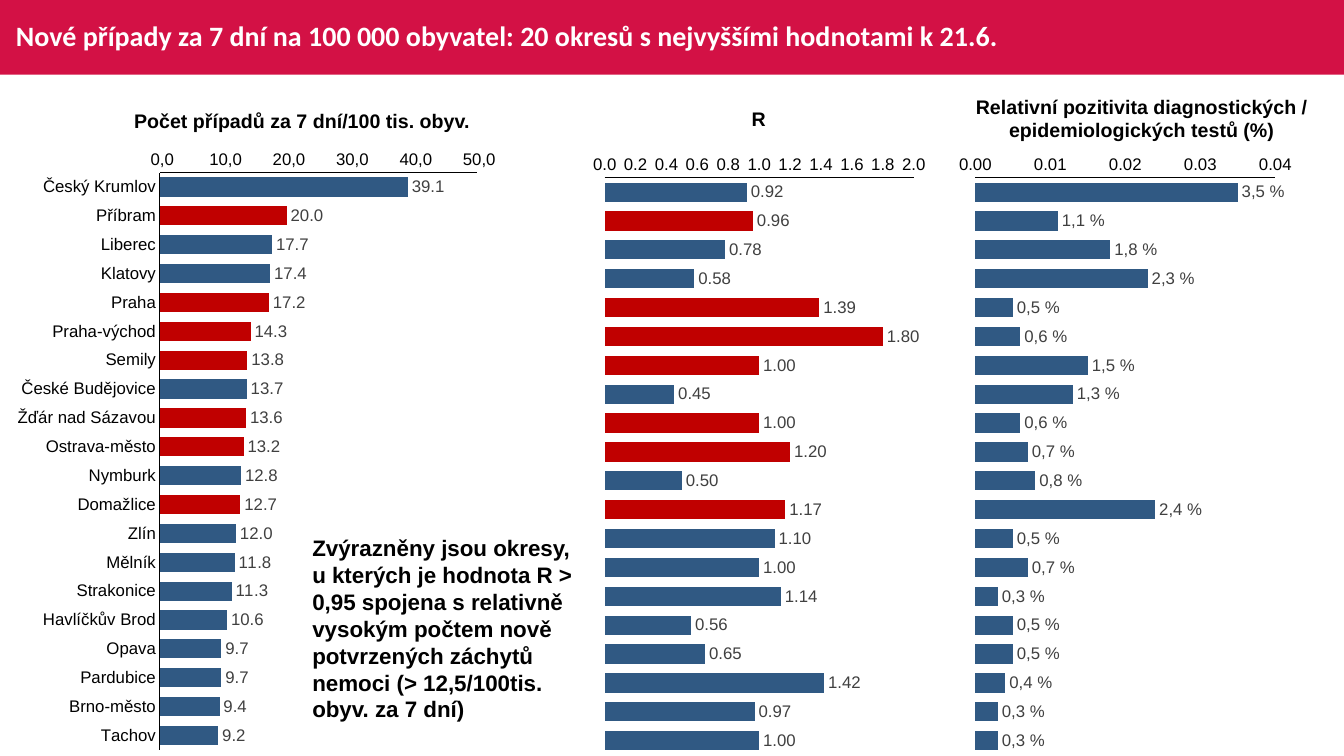
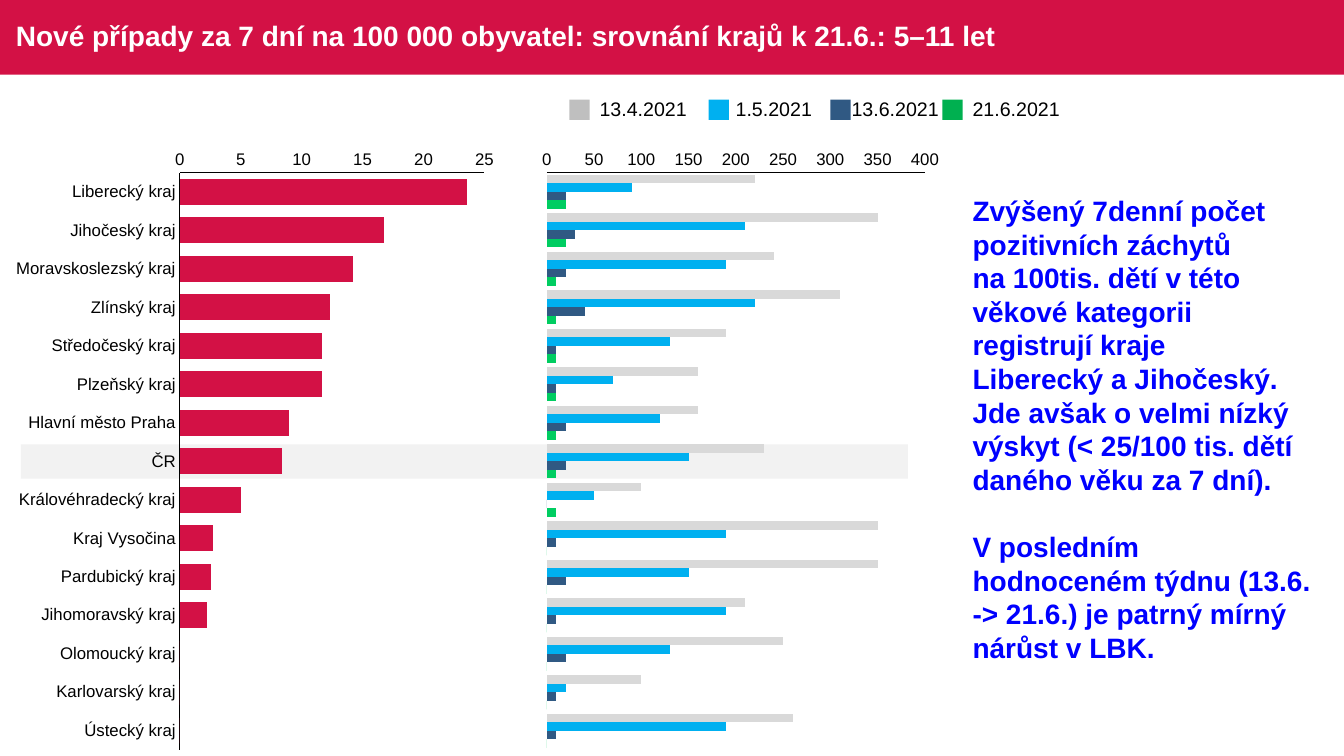
import pptx
import pptx.chart.data
import pptx.dml.color
import pptx.enum.chart
import pptx.enum.shapes
import pptx.enum.text
import pptx.oxml
import pptx.oxml.ns
import pptx.util

Cm = pptx.util.Cm
Pt = pptx.util.Pt
CHART = pptx.enum.chart
ALIGN = pptx.enum.text.PP_ALIGN
ANCHOR = pptx.enum.text.MSO_ANCHOR

HUES = {
    "band": "D31145", "white": "FFFFFF", "black": "000000", "blue": "305983",
    "red": "C00000", "label": "404040", "stripe": "F2F2F2", "note": "0000FF",
    "pale": "D9D9D9", "sky": "00B0F0", "green": "00CD61",
    "key gray": "BFBFBF", "key green": "00B050",
}
FONT = "Arial"
WIDE, HIGH = 33.87, 19.05
BAND = 1.88
PLOT_TOP, PLOT_HIGH = 0.87, 14.55

TOWNS = [
    "Český Krumlov", "Příbram", "Liberec", "Klatovy", "Praha", "Praha-východ",
    "Semily", "České Budějovice", "Žďár nad Sázavou", "Ostrava-město",
    "Nymburk", "Domažlice", "Zlín", "Mělník", "Strakonice", "Havlíčkův Brod",
    "Opava", "Pardubice", "Brno-město", "Tachov",
]
MARKED = {1, 4, 5, 6, 8, 9, 11}
CASES = [39.1, 20, 17.7, 17.4, 17.2, 14.3, 13.8, 13.7, 13.6, 13.2,
         12.8, 12.7, 12, 11.8, 11.3, 10.6, 9.7, 9.7, 9.4, 9.2]
R_RATES = [0.92, 0.96, 0.78, 0.58, 1.39, 1.8, 1, 0.45, 1, 1.2,
           0.5, 1.17, 1.1, 1, 1.14, 0.56, 0.65, 1.42, 0.97, 1]
TESTS = [0.035, 0.011, 0.018, 0.023, 0.005, 0.006, 0.015, 0.013, 0.006, 0.007,
         0.008, 0.024, 0.005, 0.007, 0.003, 0.005, 0.005, 0.004, 0.003, 0.003]

LANDS = [
    "Liberecký kraj", "Jihočeský kraj", "Moravskoslezský kraj", "Zlínský kraj",
    "Středočeský kraj", "Plzeňský kraj", "Hlavní město Praha", "ČR",
    "Královéhradecký kraj", "Kraj Vysočina", "Pardubický kraj",
    "Jihomoravský kraj", "Olomoucký kraj", "Karlovarský kraj", "Ústecký kraj",
]
LAND_CASES = [23.6, 16.8, 14.2, 12.3, 11.7, 11.7, 9, 8.4, 5, 2.7, 2.6, 2.2, 0, 0, 0]
TREND = [
    ("pale", [220, 350, 240, 310, 190, 160, 160, 230, 100, 350, 350, 210, 250, 100, 260]),
    ("sky", [90, 210, 190, 220, 130, 70, 120, 150, 50, 190, 150, 190, 130, 20, 190]),
    ("blue", [20, 30, 20, 40, 10, 10, 20, 20, 0, 10, 20, 10, 20, 10, 10]),
    ("green", [20, 20, 10, 10, 10, 10, 10, 10, 10, 0, 0, 0, 0, 0, 0]),
]
# Swatch left, label left, label width, hue, date
KEYS = [
    (14.35, 14.86, 2.72, "key gray", "13.4.2021"),
    (17.86, 18.29, 2.44, "sky", "1.5.2021"),
    (20.93, 21.21, 2.72, "blue", "13.6.2021"),
    (23.75, 24.26, 2.72, "key green", "21.6.2021"),
]


def tint(hue):
    return pptx.dml.color.RGBColor.from_string(HUES[hue])


def paint(fill, hue):
    fill.solid()
    fill.fore_color.rgb = tint(hue)


def style(font, size, hue="black", bold=False, name=FONT):
    font.size, font.bold, font.name = Pt(size), bold, name
    font.color.rgb = tint(hue)


def block(slide, box, hue):
    shape = slide.shapes.add_shape(
        pptx.enum.shapes.MSO_SHAPE.RECTANGLE, *map(Cm, box))
    shape.shadow.inherit = False
    paint(shape.fill, hue)
    shape.line.fill.background()


def write(slide, box, paras, size, hue="black", bold=True, name=FONT,
          align=ALIGN.LEFT, wrap=True):
    """Add a text box; a newline inside a paragraph becomes a line break."""
    frame = slide.shapes.add_textbox(*map(Cm, box)).text_frame
    frame.word_wrap = wrap
    for i, text in enumerate(paras):
        para = frame.paragraphs[0] if i == 0 else frame.add_paragraph()
        para.alignment = align
        for j, part in enumerate(text.split("\n")):
            if j:
                para.add_line_break()
            run = para.add_run()
            run.text = part
            style(run.font, size, hue, bold, name)
    return frame


def head(slide, text, name=FONT):
    block(slide, (0, 0, WIDE, BAND), "band")
    frame = write(slide, (0.15, 0, 30.5, BAND), [text], 20, "white", name=name)
    frame.vertical_anchor = ANCHOR.MIDDLE
    frame.paragraphs[0].line_spacing = 0.9


def place_plot(chart, box, left, wide):
    """Fix the inner plot area, given in cm from the chart's corner."""
    parts = {"x": left / box[2], "y": PLOT_TOP / box[3],
             "w": wide / box[2], "h": PLOT_HIGH / box[3]}
    modes = "".join(f'<c:{k}Mode val="edge"/>' for k in "xy")
    sizes = "".join(f'<c:{k} val="{v:.4f}"/>' for k, v in parts.items())
    area = chart.plots[0]._element.getparent()
    for old in area.findall(pptx.oxml.ns.qn("c:layout")):
        area.remove(old)
    area.insert(0, pptx.oxml.parse_xml(
        f'<c:layout {pptx.oxml.ns.nsdecls("c")}><c:manualLayout>'
        f'<c:layoutTarget val="inner"/>{modes}{sizes}'
        '</c:manualLayout></c:layout>'))


def dress(axis):
    axis.has_major_gridlines = False
    axis.major_tick_mark = axis.minor_tick_mark = CHART.XL_TICK_MARK.NONE
    style(axis.tick_labels.font, 12)
    axis.format.line.color.rgb = tint("black")
    axis.format.line.width = Pt(0.75)


def bars(slide, box, plot, rows, top, step, cats=None, form="General",
         label=None, marked=()):
    """Draw a bar chart; rows holds (hue, values), plot its left and width."""
    data = pptx.chart.data.CategoryChartData()
    data.categories = cats or [str(i + 1) for i in range(len(rows[0][1]))]
    for i, (_, vals) in enumerate(rows, 1):
        data.add_series(f"Series {i}", vals)
    chart = slide.shapes.add_chart(
        CHART.XL_CHART_TYPE.BAR_CLUSTERED, *map(Cm, box), data).chart
    chart.has_title = chart.has_legend = False
    style(chart.font, 10)
    place_plot(chart, box, *plot)

    dress(chart.category_axis)
    chart.category_axis.reverse_order = True
    chart.category_axis.visible = cats is not None
    scale = chart.value_axis
    dress(scale)
    scale.minimum_scale, scale.maximum_scale, scale.major_unit = 0, top, step
    scale.tick_labels.number_format = form
    scale.tick_labels.number_format_is_linked = False

    group = chart.plots[0]
    group.gap_width, group.overlap = 50, 0
    group.vary_by_categories = False
    for line, (hue, _) in zip(group.series, rows):
        line.invert_if_negative = False
        paint(line.format.fill, hue)
        for i in sorted(marked):
            paint(line.points[i].format.fill, "red")
    if label:
        group.has_data_labels = True
        tags = group.data_labels
        tags.show_value = True
        tags.position = CHART.XL_LABEL_POSITION.OUTSIDE_END
        tags.number_format, tags.number_format_is_linked = label, False
        style(tags.font, 12, "label")


def legend(slide, top):
    for left, start, wide, hue, date in KEYS:
        block(slide, (left, top + 0.2, 0.51, 0.51), hue)
        write(slide, (start, top, wide, 0.86), [date], 14, bold=False, wrap=False)


def towns(slide):
    head(slide, "Nové případy za 7 dní na 100 000 obyvatel: 20 okresů "
         "s nejvyššími hodnotami k 21.6.", "Calibri")
    bars(slide, (0.2, 3.48, 12.55, 15.72), (3.83, 7.99), [("blue", CASES)],
         50, 10, TOWNS, r"[$-10405]#\ ##0.0;\(#\ ##0.0\)", "#,##0.0", MARKED)
    bars(slide, (14.76, 3.61, 8.74, 15.72), (0.48, 7.79), [("blue", R_RATES)],
         2, 0.2, form="#,##0.0", label="#,##0.00", marked=MARKED)
    bars(slide, (24, 3.61, 8.74, 15.72), (0.58, 7.56), [("blue", TESTS)],
         0.04, 0.01, form="#,##0.00", label=r"[$-10405]0.0\ %")
    for box, text, wrap in (
            ((3.12, 2.62, 8.99, 0.86), "Počet případů za 7 dní/100 tis. obyv.", False),
            ((18.69, 2.57, 0.86, 0.86), "R", False),
            ((24, 2.26, 9.55, 1.45), "Relativní pozitivita diagnostických / "
             "epidemiologických testů (%)", True)):
        write(slide, box, [text], 14, align=ALIGN.CENTER, wrap=wrap)
    write(slide, (7.62, 13.34, 7.14, 5.05), [
        "Zvýrazněny jsou okresy,",
        "u kterých je hodnota R > 0,95 spojena s relativně vysokým počtem nově "
        "potvrzených záchytů nemoci (> 12,5/100tis. obyv. za 7 dní)"], 16)


def lands(slide):
    block(slide, (0.53, 11.2, 22.35, 0.86), "stripe")
    head(slide, "Nové případy za 7 dní na 100 000 obyvatel: srovnání krajů "
         "k 21.6.: 5–11 let")
    bars(slide, (13.46, 3.48, 10.39, 15.72), (0.32, 9.53), TREND, 400, 50)
    bars(slide, (0.15, 3.48, 12.55, 15.72), (4.38, 7.68),
         [("band", LAND_CASES)], 25, 5, LANDS)
    note = write(slide, (24.26, 4.75, 9.09, 12.22), [
        "Zvýšený 7denní počet pozitivních záchytů \nna 100tis. dětí v této "
        "věkové kategorii registrují kraje",
        "Liberecký a Jihočeský. Jde avšak o velmi nízký výskyt "
        "(< 25/100 tis. dětí daného věku za 7 dní).",
        "V posledním hodnoceném týdnu (13.6. -> 21.6.) je patrný mírný "
        "nárůst v LBK."], 20, "note")
    note.paragraphs[2].space_before = Pt(24)
    legend(slide, 2.31)


def main():
    deck = pptx.Presentation()
    deck.slide_width, deck.slide_height = Cm(WIDE), Cm(HIGH)
    for build in (towns, lands):
        build(deck.slides.add_slide(deck.slide_layouts[6]))
    deck.save("out.pptx")


if __name__ == "__main__":
    main()
